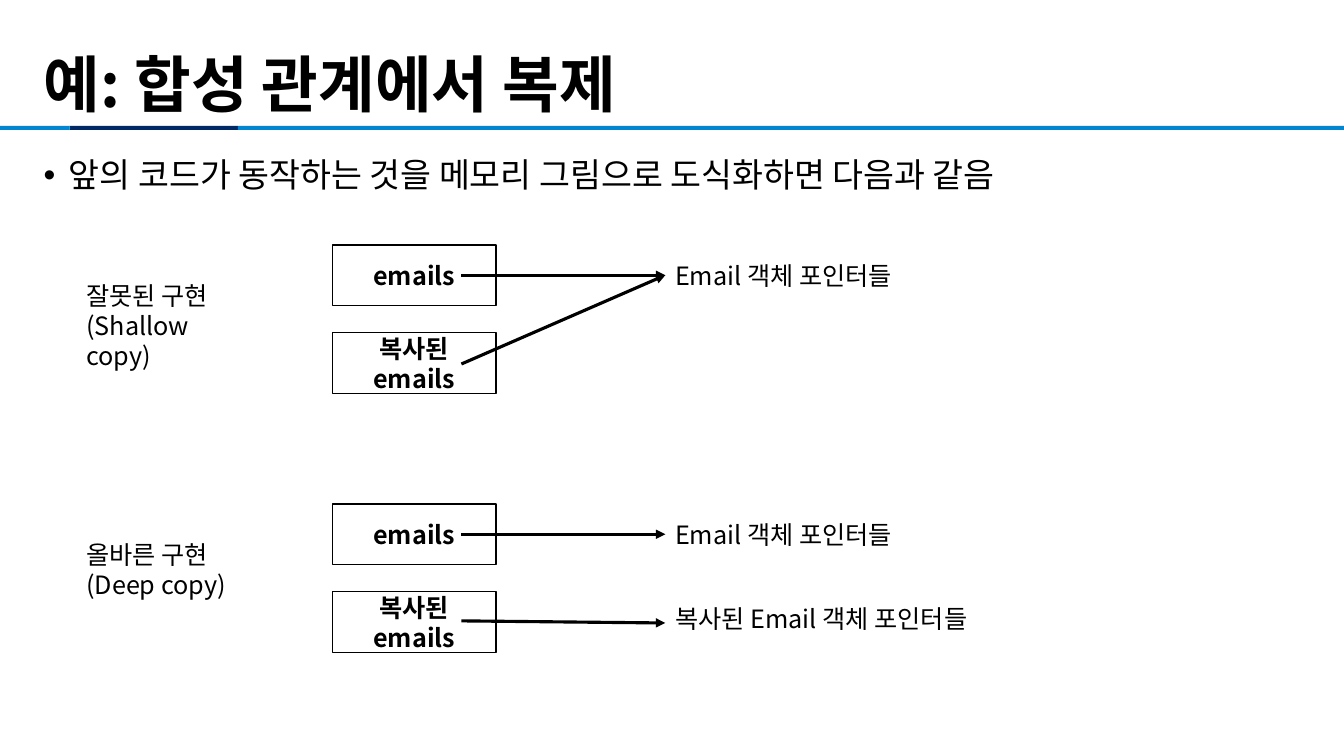
"""Build the slide that contrasts shallow and deep copies of a composed object."""
from lxml.etree import SubElement
from pptx import Presentation
from pptx.dml.color import RGBColor
from pptx.enum.shapes import MSO_CONNECTOR, MSO_SHAPE
from pptx.enum.text import MSO_ANCHOR, MSO_AUTO_SIZE, PP_ALIGN
from pptx.oxml.ns import qn
from pptx.util import Pt

TITLE = "예: 합성 관계에서 복제"
BULLET = "앞의 코드가 동작하는 것을 메모리 그림으로 도식화하면 다음과 같음"
BOXES = ["emails", "복사된 emails"]
CASES = [
    {
        "top": 175,
        "caption": ["잘못된 구현", "(Shallow copy)"],
        "caption_width": 134,
        "targets": [("Email 객체 포인터들", 7.2, 186)],
        "arrows": [(21.6, 21.6), (85, 21.6)],
    },
    {
        "top": 360,
        "caption": ["올바른 구현", "(Deep copy)"],
        "caption_width": 114.5,
        "targets": [("Email 객체 포인터들", 7.2, 186), ("복사된 Email 객체 포인터들", 67.7, 273)],
        "arrows": [(21.6, 21.6), (83.5, 85)],
    },
]
RULE_PARTS = [("navy", 49.7, 120.2), ("blue", 169.9, 790.1), ("blue", 0, 49.7)]

COLORS = {"black": "000000", "navy": "002967", "blue": "0186D1"}
FONT = "Noto Sans CJK KR"
MARGIN, CONTENT_WIDTH = 24, 909.4
BOX_LEFT, BOX_WIDTH, BOX_HEIGHT, BOX_PITCH = 237.6, 116.6, 43.4, 62.7
CAPTION_LEFT, CAPTION_OFFSET = 54.5, 21.6
ARROW_START, ARROW_END = 329.6, 475.2


def color(name):
    return RGBColor.from_string(COLORS[name])


def add_run(paragraph, text, size, bold=False):
    run = paragraph.add_run()
    run.text = text
    run.font.size = Pt(size)
    run.font.bold = bold
    run.font.name = FONT
    run.font.color.rgb = color("black")
    latin = run.font._element.find(qn("a:latin"))
    east_asian = latin.makeelement(qn("a:ea"), {"typeface": FONT})
    latin.addnext(east_asian)


def place(shape, left, top, width, height):
    shape.left, shape.top, shape.width, shape.height = map(Pt, (left, top, width, height))


def fill_placeholder(shape, top, height, anchor, text, size, bold, spacing):
    place(shape, MARGIN, top, CONTENT_WIDTH, height)
    frame = shape.text_frame
    frame.auto_size = MSO_AUTO_SIZE.NONE
    frame.vertical_anchor = anchor
    paragraph = frame.paragraphs[0]
    paragraph.alignment = PP_ALIGN.LEFT
    paragraph.line_spacing = spacing
    add_run(paragraph, text, size, bold)
    return paragraph


def add_rectangle(slide, left, top, width, height):
    shape = slide.shapes.add_shape(MSO_SHAPE.RECTANGLE, *map(Pt, (left, top, width, height)))
    shape.shadow.inherit = False
    return shape


def add_rule(slide):
    for name, left, width in RULE_PARTS:
        part = add_rectangle(slide, left, 90, width, 2.9)
        part.fill.solid()
        part.fill.fore_color.rgb = color(name)
        part.line.fill.background()


def add_box(slide, top, text):
    box = add_rectangle(slide, BOX_LEFT, top, BOX_WIDTH, BOX_HEIGHT)
    box.fill.background()
    box.line.color.rgb = color("black")
    box.line.width = Pt(1)
    frame = box.text_frame
    frame.word_wrap = True
    frame.vertical_anchor = MSO_ANCHOR.MIDDLE
    paragraph = frame.paragraphs[0]
    paragraph.alignment = PP_ALIGN.CENTER
    add_run(paragraph, text, 18, bold=True)


def add_label(slide, left, top, width, lines, wrap):
    label = slide.shapes.add_textbox(*map(Pt, (left, top, width, 7.2 + 21.8 * len(lines))))
    label.text_frame.word_wrap = wrap
    paragraph = label.text_frame.paragraphs[0]
    for index, line in enumerate(lines):
        if index:
            paragraph.add_line_break()
        add_run(paragraph, line, 18)


def add_arrow(slide, start_y, end_y):
    arrow = slide.shapes.add_connector(
        MSO_CONNECTOR.STRAIGHT, *map(Pt, (ARROW_START, start_y, ARROW_END, end_y)))
    arrow.line.color.rgb = color("black")
    arrow.line.width = Pt(2.25)
    SubElement(arrow.line._get_or_add_ln(), qn("a:tailEnd"), type="triangle")
    SubElement(arrow._element.spPr, qn("a:effectLst"))


def add_case(slide, case):
    top = case["top"]
    for index, text in enumerate(BOXES):
        add_box(slide, top + index * BOX_PITCH, text)
    for text, offset, width in case["targets"]:
        add_label(slide, ARROW_END, top + offset, width, [text], False)
    for start, end in case["arrows"]:
        add_arrow(slide, top + start, top + end)
    add_label(slide, CAPTION_LEFT, top + CAPTION_OFFSET, case["caption_width"], case["caption"], True)


def main():
    presentation = Presentation()
    presentation.slide_width, presentation.slide_height = Pt(960), Pt(540)
    slide = presentation.slides.add_slide(presentation.slide_layouts[1])
    add_rule(slide)
    fill_placeholder(slide.shapes.title, 28.8, 61.2, MSO_ANCHOR.BOTTOM, TITLE, 44, True, 0.9)
    paragraph = fill_placeholder(
        slide.placeholders[1], 98, 424, MSO_ANCHOR.TOP, BULLET, 24, False, 1.3)
    paragraph.space_before = Pt(10)
    properties = paragraph._element.get_or_add_pPr()
    properties.set("marL", str(Pt(18)))
    properties.set("indent", str(Pt(-18)))
    SubElement(properties, qn("a:buFont"), typeface="Arial")
    SubElement(properties, qn("a:buChar"), char="•")
    for case in CASES:
        add_case(slide, case)
    presentation.save("out.pptx")


if __name__ == "__main__":
    main()
